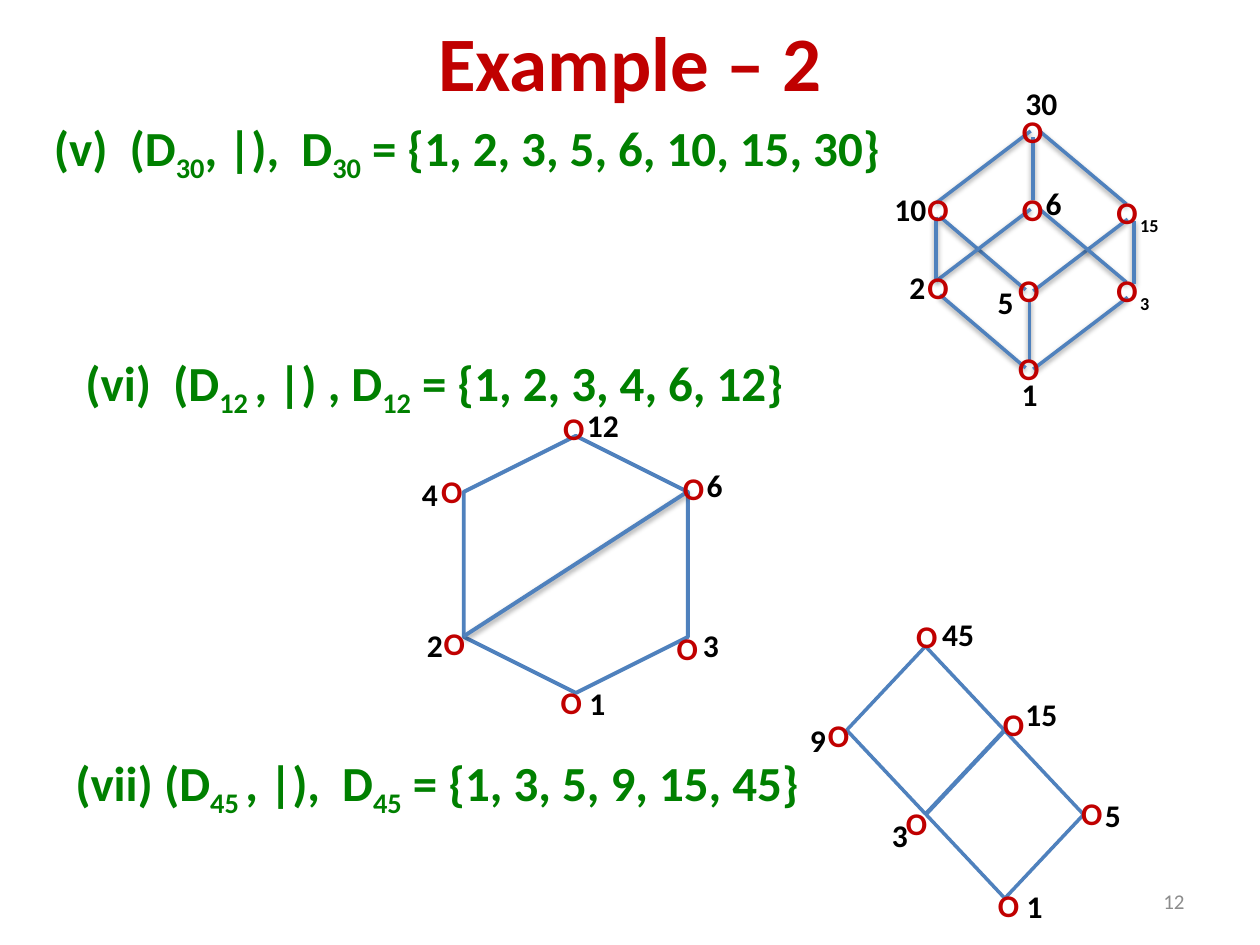
from lxml.etree import SubElement as Sub
from pptx import Presentation
from pptx.dml.color import RGBColor as Rgb
from pptx.enum.shapes import MSO_CONNECTOR as Conn, MSO_SHAPE as Geo
from pptx.enum.text import MSO_ANCHOR as Anchor, MSO_AUTO_SIZE as Auto, PP_ALIGN as Align
from pptx.oxml.ns import qn
from pptx.util import Emu, Pt

# Content: all lengths in px, 100 px to the inch
TITLE = "Example – 2"
PAGE = "12"
HEADS = [  # box, then runs; every second run is a subscript
    ((33, 88, 708, 71), ["(v)  (D", "30", ", |),  D", "30", " = {1, 2, 3, 5, 6, 10, 15, 30}"]),
    ((58, 275, 592, 75), ["(vi)  (D", "12 ", ", |) , D", "12", " = {1, 2, 3, 4, 6, 12}"]),
    ((50, 592, 633, 75), ["(vii) (D", "45 ", ", |),  D", "45", " = {1, 3, 5, 9, 15, 45}"]),
]

# Hasse diagrams: left and top of each node ring and each label
D12 = {
    "rings": [(436, 537), (528, 494), (533, 367), (438, 320), (341, 370), (343, 490)],
    "labels": [("1", 458, 538), ("3", 548, 492), ("6", 551, 365),
               ("2", 329, 492), ("12", 456, 317), ("4", 325, 372)],
}
D45 = {
    "rings": [(783, 698), (849, 625), (787, 555), (718, 485), (710, 633), (648, 563)],
    "labels": [("1", 805, 699), ("5", 867, 627), ("15", 804, 547),
               ("45", 738, 483), ("3", 698, 643), ("9", 633, 567)],
}
LAYER = 62  # drop from the upper to the lower face of the cube
FACE = [(818, 104, 743, 161), (894, 162, 825, 104),
        (814, 230, 746, 172), (895, 174, 820, 231)]
CORNERS = [(877, 148), (802, 84), (799, 210), (727, 146)]
POSTS, POST = [(817, 237), (820, 109), (900, 175), (743, 172)], 50
D30 = {
    "rings": [(x, y + dy) for dy in (0, LAYER) for x, y in CORNERS],
    "labels": [("5", 782, 220), ("30", 804, 62), ("10", 700, 146),
               ("1", 801, 293), ("6", 820, 141), ("2", 712, 208)],
    "small": [("15", 895, 148), ("3", 895, 210)],
}
EDGES = [(a, b + dy, c, d + dy) for dy in (0, LAYER) for a, b, c, d in FACE]
EDGES += [(x, y, x, y + POST) for x, y in POSTS]

THEME = {
    "face": "Calibri", "edge": "4F81BD", "paper": "FFFFFF",
    "title": {"size": 44, "color": "C00000", "bold": True},
    "head": {"size": 28, "color": "008000", "bold": True},
    "ring": {"size": 18, "color": "C00000", "bold": True},
    "label": {"size": 18, "color": "000000", "bold": True},
    "page": {"size": 12, "color": "8C8C8C", "bold": False},
}


def px(n):
    return Emu(n * 9144)


def box_of(*nums):
    return [px(n) for n in nums]


def write(para, text, style, sub=False):
    run = para.add_run()
    run.text = text
    form = THEME[style]
    for key, val in {"name": THEME["face"], "size": Pt(form["size"]),
                     "bold": form["bold"]}.items():
        setattr(run.font, key, val)
    run.font.color.rgb = Rgb.from_string(form["color"])
    if sub:
        run.font._element.set("baseline", "-25000")


def add_text(box, runs, style, wrap=True, sub=False, **frame):
    tf = slide.shapes.add_textbox(*box_of(*box)).text_frame
    form = {"word_wrap": wrap, "auto_size": Auto.NONE, **frame}
    for key, val in form.items():
        setattr(tf, key, val)
    for i, text in enumerate(runs):
        write(tf.paragraphs[0], text, style, sub or i % 2 == 1)
    return tf.paragraphs[0]


def add_shape(kind, box, width, turn=0):
    shape = slide.shapes.add_shape(kind, *box_of(*box))
    shape.rotation = turn
    shape.shadow.inherit = False
    shape.fill.solid()
    shape.fill.fore_color.rgb = Rgb.from_string(THEME["paper"])
    shape.line.color.rgb = Rgb.from_string(THEME["edge"])
    shape.line.width = Pt(width)


def add_edge(ends, width):
    line = slide.shapes.add_connector(Conn.STRAIGHT, *box_of(*ends))
    line.line.color.rgb = Rgb.from_string(THEME["edge"])
    line.line.width = Pt(width)
    # Soft shadow straight below
    fx = Sub(line._element.spPr, qn("a:effectLst"))
    shade = Sub(fx, qn("a:outerShdw"), blurRad="40000", dist="20000",
                dir="5400000", rotWithShape="0")
    tint = Sub(shade, qn("a:srgbClr"), val="000000")
    Sub(tint, qn("a:alpha"), val="38000")


def add_nodes(graph):
    for x, y in graph["rings"]:
        add_text((x, y, 29, 33), ["O"], "ring", wrap=False,
                 margin_left=px(9), margin_right=0, margin_bottom=0)
    for text, x, y in graph["labels"]:
        add_text((x, y, 20 + 13 * len(text), 40), [text], "label", wrap=False)
    for text, x, y in graph.get("small", []):
        add_text((x, y, 21 + 8 * len(text), 30), [text], "label", wrap=False, sub=True)


deck = Presentation()
deck.slide_width, deck.slide_height = box_of(1000, 750)
slide = deck.slides.add_slide(deck.slide_layouts[5])

# Title
title = slide.shapes.title
for key, val in zip(("left", "top", "width", "height"), box_of(50, 17, 900, 62)):
    setattr(title, key, val)
title.text_frame.vertical_anchor = Anchor.MIDDLE
title.text_frame.paragraphs[0].alignment = Align.CENTER
write(title.text_frame.paragraphs[0], TITLE, "title")

# Set definitions
for box, runs in HEADS:
    props = add_text(box, runs, "head")._p.get_or_add_pPr()
    props.set("marL", str(px(62)))
    props.set("indent", str(-px(62)))

# D12: hexagon with one diagonal
add_shape(Geo.HEXAGON, (355, 359, 204, 178), 2.25, turn=90)
add_edge((368, 505, 546, 390), 2.25)
add_nodes(D12)

# D45: two diamonds sharing a side
for x, y in [(672, 513), (735, 580)]:
    add_shape(Geo.DIAMOND, (x, y, 125, 133), 2)
add_nodes(D45)

# D30: cube
for ends in EDGES:
    add_edge(ends, 2)
add_nodes(D30)

# Page number
add_text((717, 695, 233, 40), [PAGE], "page",
         vertical_anchor=Anchor.MIDDLE).alignment = Align.RIGHT

deck.save("out.pptx")
